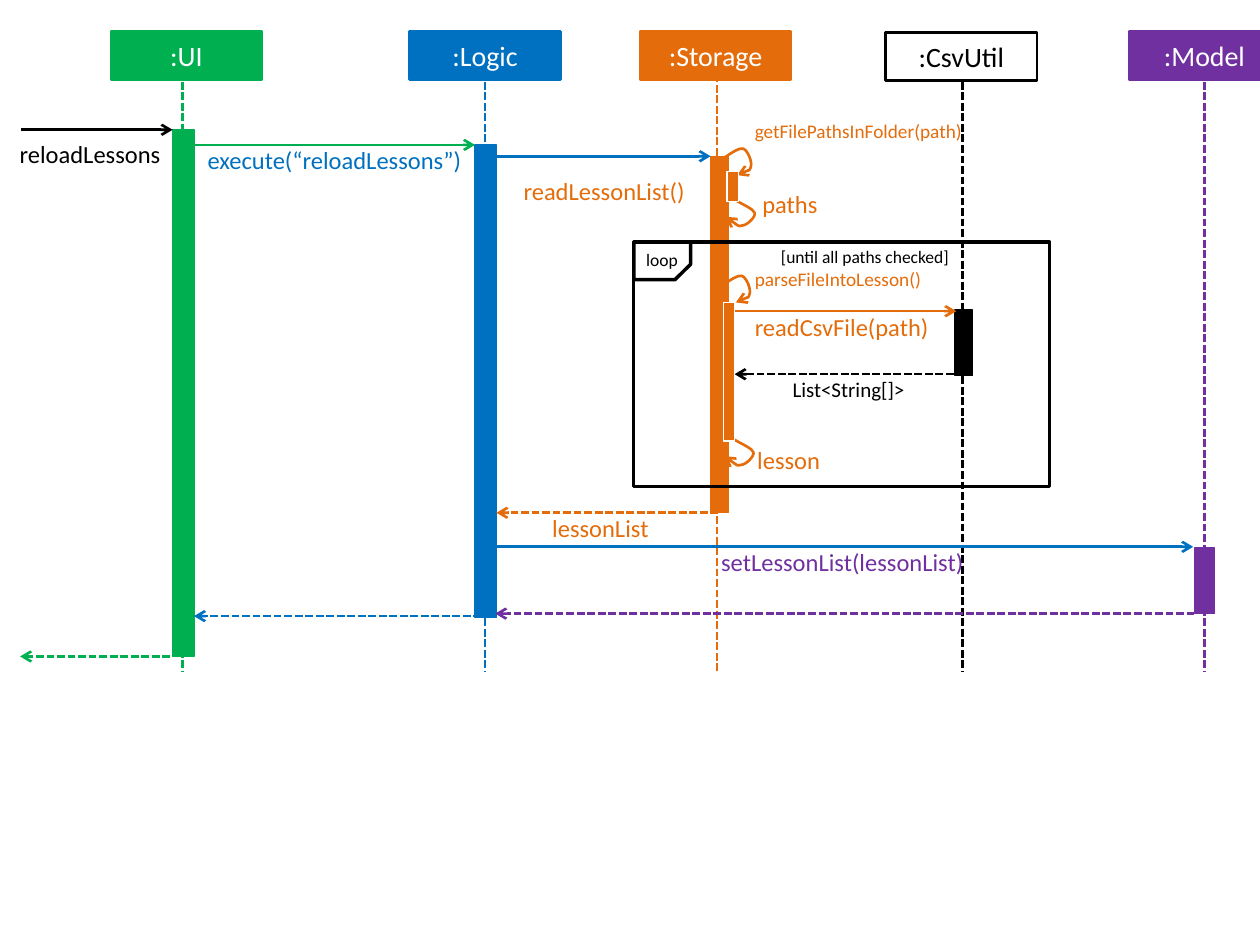
from dataclasses import dataclass

from lxml.etree import SubElement
from pptx import Presentation
from pptx.dml.color import RGBColor
from pptx.enum.dml import MSO_LINE
from pptx.enum.shapes import MSO_CONNECTOR, MSO_SHAPE as Geo
from pptx.enum.text import MSO_ANCHOR, MSO_AUTO_SIZE, PP_ALIGN as Align
from pptx.oxml.ns import qn
from pptx.util import Inches, Pt


@dataclass(frozen=True)
class Theme:
    font: str = "Calibri"
    ui: str = "00B050"
    logic: str = "0070C0"
    storage: str = "E46C0A"
    model: str = "7030A0"
    black: str = "000000"
    white: str = "FFFFFF"
    head: int = 16
    message: int = 14
    result: int = 12
    self_call: int = 11
    guard: int = 10
    stroke: float = 1.5
    bar_stroke: float = 0.75
    frame_stroke: float = 2


T = Theme()


@dataclass(frozen=True)
class Box:
    x: float
    y: float
    w: float
    h: float

    def emu(self):
        return [Inches(v) for v in (self.x, self.y, self.w, self.h)]


@dataclass(frozen=True)
class Participant:
    name: str
    color: str
    head: Box
    life_x: float
    bar: Box
    life_top: float = 0.65
    hollow: bool = False


@dataclass(frozen=True)
class Message:
    start: float
    end: float
    y: float
    color: str
    reply: bool = False


@dataclass(frozen=True)
class Label:
    text: str
    box: Box
    color: str
    size: int = T.message
    align: Align = Align.CENTER
    inset: tuple[float, float] = (0, 0)


LIFE_END = 5.33
PARTICIPANTS = [
    Participant(":UI", T.ui, Box(0.88, 0.25, 1.2, 0.38), 1.45, Box(1.37, 1.03, 0.17, 4.18)),
    Participant(":Logic", T.logic, Box(3.25, 0.25, 1.2, 0.38), 3.85, Box(3.77, 1.15, 0.17, 3.75)),
    Participant(":Model", T.model, Box(8.96, 0.25, 1.2, 0.38), 9.56, Box(9.48, 4.35, 0.16, 0.52)),
    Participant(":Storage", T.storage, Box(5.08, 0.25, 1.2, 0.38), 5.69,
                Box(5.64, 1.24, 0.14, 2.83), life_top=0.59),
    Participant(":CsvUtil", T.black, Box(7.03, 0.26, 1.2, 0.38), 7.64,
                Box(7.58, 2.46, 0.14, 0.52), hollow=True),
]
MESSAGES = [
    Message(0.17, 1.37, 1.03, T.black),
    Message(1.53, 3.77, 1.15, T.ui),
    Message(3.94, 5.64, 1.24, T.logic),
    Message(5.79, 7.59, 2.47, T.storage),
    Message(7.57, 5.83, 2.97, T.black, reply=True),
    Message(5.7, 3.94, 4.07, T.storage, reply=True),
    Message(3.94, 9.47, 4.34, T.logic),
    Message(9.48, 3.93, 4.87, T.model, reply=True),
    Message(3.82, 1.54, 4.89, T.logic, reply=True),
    Message(1.35, 0.16, 5.21, T.ui, reply=True),
]
LABELS = [
    Label("reloadLessons", Box(0.12, 1.1, 1.19, 0.24), T.black),
    Label("execute(“reloadLessons”)", Box(1.46, 1.15, 2.39, 0.24), T.logic),
    Label("readLessonList()", Box(4.12, 1.4, 1.35, 0.24), T.storage),
    Label("getFilePathsInFolder(path)", Box(5.99, 0.95, 1.65, 0.19), T.storage,
          T.self_call, Align.LEFT),
    Label("paths", Box(6.05, 1.5, 0.87, 0.24), T.storage, align=Align.LEFT),
    Label("loop", Box(5.03, 1.93, 0.51, 0.32), T.black, T.guard, Align.LEFT, (0.1, 0.05)),
    Label("[until all paths checked]", Box(6.1, 1.9, 2.74, 0.32), T.black,
          T.guard, Align.LEFT, (0.1, 0.05)),
    Label("parseFileIntoLesson()", Box(5.99, 2.12, 1.65, 0.19), T.storage,
          T.self_call, Align.LEFT),
    Label("readCsvFile(path)", Box(5.97, 2.48, 1.42, 0.24), T.storage),
    Label("List<String[]>", Box(6.06, 2.99, 1.35, 0.2), T.black, T.result),
    Label("lesson", Box(6.01, 3.53, 0.87, 0.24), T.storage, align=Align.LEFT),
    Label("lessonList", Box(4.09, 4.07, 1.35, 0.24), T.storage),
    Label("setLessonList(lessonList)", Box(5.49, 4.34, 2.39, 0.24), T.model),
]
SELF_BARS = [Box(5.77, 1.36, 0.09, 0.24), Box(5.74, 2.4, 0.09, 1.1)]
# Bézier points of each loop, as (x, y) from its tail to its arrowhead
CALL_LOOP = [(5.75, 1.25), (5.81, 1.21), (5.87, 1.17), (5.9, 1.18),
             (5.94, 1.2), (5.97, 1.29), (5.96, 1.32), (5.95, 1.36), (5.9, 1.37), (5.85, 1.39)]
RETURN_LOOP = [(5.84, 1.59), (5.91, 1.63), (5.98, 1.66), (5.99, 1.69),
               (6, 1.72), (5.93, 1.79), (5.89, 1.79), (5.86, 1.8), (5.81, 1.76), (5.76, 1.72)]
LOOPS = [(CALL_LOOP, 0, 0), (RETURN_LOOP, 0, 0),
         (CALL_LOOP, -0.01, 1.01), (RETURN_LOOP, -0.01, 1.9)]
FRAME = Box(5.03, 1.92, 3.3, 1.94)
FRAME_TAG = Box(5.03, 1.92, 0.45, 0.3)


def rgb(color: str) -> RGBColor:
    return RGBColor.from_string(color)


def style_line(line, color: str, width: float, dashed=False, arrow=False) -> None:
    line.color.rgb = rgb(color)
    line.width = Pt(width)
    if dashed:
        line.dash_style = MSO_LINE.SQUARE_DOT
    if arrow:
        SubElement(line._get_or_add_ln(), qn("a:tailEnd"), type="arrow")


def write(sp, text: str, color: str, size: int, align: Align) -> None:
    p = sp.text_frame.paragraphs[0]
    p.text = text
    p.alignment = align
    font = p.runs[0].font
    font.name, font.size, font.color.rgb = T.font, Pt(size), rgb(color)


def add_box(shapes, box: Box, fill: str | None, line: str, width: float, geo=Geo.RECTANGLE):
    sp = shapes.add_shape(geo, *box.emu())
    sp.shadow.inherit = False
    if fill:
        sp.fill.solid()
        sp.fill.fore_color.rgb = rgb(fill)
    else:
        sp.fill.background()
    style_line(sp.line, line, width)
    return sp


def add_line(shapes, start, end, color: str, dashed=False, arrow=False) -> None:
    cxn = shapes.add_connector(MSO_CONNECTOR.STRAIGHT, *map(Inches, (*start, *end)))
    style_line(cxn.line, color, T.stroke, dashed, arrow)
    SubElement(cxn._element.spPr, qn("a:effectLst"))


def add_participant(shapes, item: Participant) -> None:
    fill, ink = (T.white, T.black) if item.hollow else (item.color, T.white)
    sp = add_box(shapes, item.head, fill, item.color, T.stroke)
    sp.text_frame.vertical_anchor = MSO_ANCHOR.MIDDLE
    write(sp, item.name, ink, T.head, Align.CENTER)
    add_line(shapes, (item.life_x, item.life_top), (item.life_x, LIFE_END), item.color, dashed=True)
    add_box(shapes, item.bar, item.color, item.color, T.bar_stroke)


def add_loop(shapes, points, dx: float, dy: float) -> None:
    """Draw a curved arrow: each three line segments become one cubic Bézier."""
    start, *rest = [(Inches(x + dx), Inches(y + dy)) for x, y in points]
    builder = shapes.build_freeform(*start)
    builder.add_line_segments(rest, close=False)
    sp = builder.convert_to_shape()
    segments = list(sp._element.iter(qn("a:lnTo")))
    for i in range(0, len(segments), 3):
        curve = SubElement(segments[i].getparent(), qn("a:cubicBezTo"))
        for segment in segments[i:i + 3]:
            curve.append(segment[0])
            segment.getparent().remove(segment)
    sp.shadow.inherit = False
    sp.fill.background()
    style_line(sp.line, T.storage, T.stroke, arrow=True)


def add_frame(shapes) -> None:
    add_box(shapes, FRAME, None, T.black, T.frame_stroke, Geo.FLOWCHART_PROCESS)
    tag = add_box(shapes, FRAME_TAG, None, T.black, T.frame_stroke, Geo.SNIP_1_RECTANGLE)
    tag.adjustments[0] = 0.41
    tag.rotation = 180
    tag._element.spPr.xfrm.set("flipH", "1")


def add_label(shapes, label: Label) -> None:
    sp = shapes.add_textbox(*label.box.emu())
    tf = sp.text_frame
    tf.word_wrap = True
    tf.auto_size = MSO_AUTO_SIZE.SHAPE_TO_FIT_TEXT
    tf.margin_left = tf.margin_right = Inches(label.inset[0])
    tf.margin_top = tf.margin_bottom = Inches(label.inset[1])
    write(sp, label.text, label.color, label.size, label.align)


def main() -> None:
    prs = Presentation()
    prs.slide_width, prs.slide_height = Inches(10), Inches(7.5)
    shapes = prs.slides.add_slide(prs.slide_layouts[6]).shapes
    for participant in PARTICIPANTS:
        add_participant(shapes, participant)
    for m in MESSAGES:
        add_line(shapes, (m.start, m.y), (m.end, m.y), m.color, m.reply, arrow=True)
    add_frame(shapes)
    for loop in LOOPS:
        add_loop(shapes, *loop)
    for bar in SELF_BARS:
        add_box(shapes, bar, T.storage, T.white, T.bar_stroke)
    for label in LABELS:
        add_label(shapes, label)
    prs.save("out.pptx")


if __name__ == "__main__":
    main()
